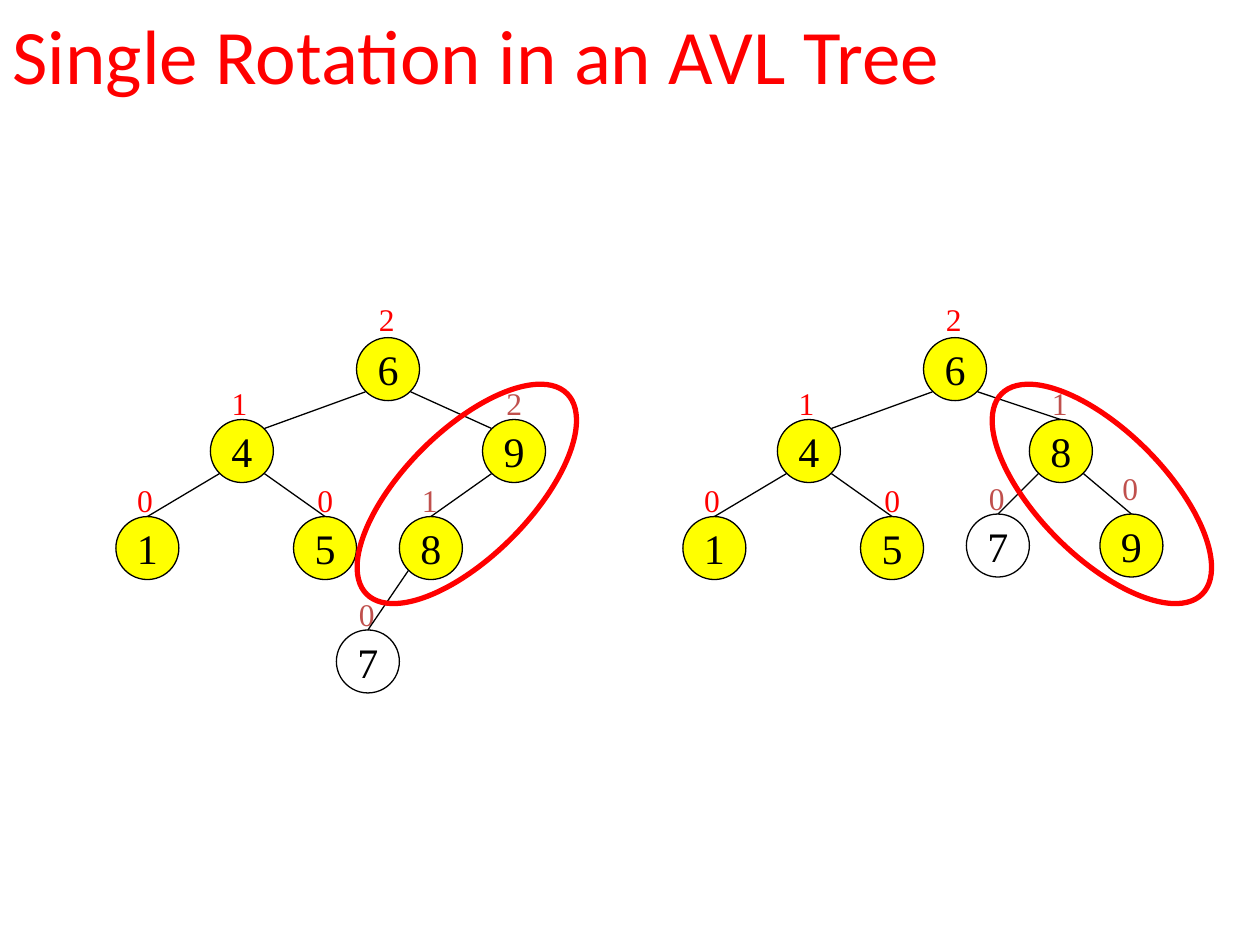
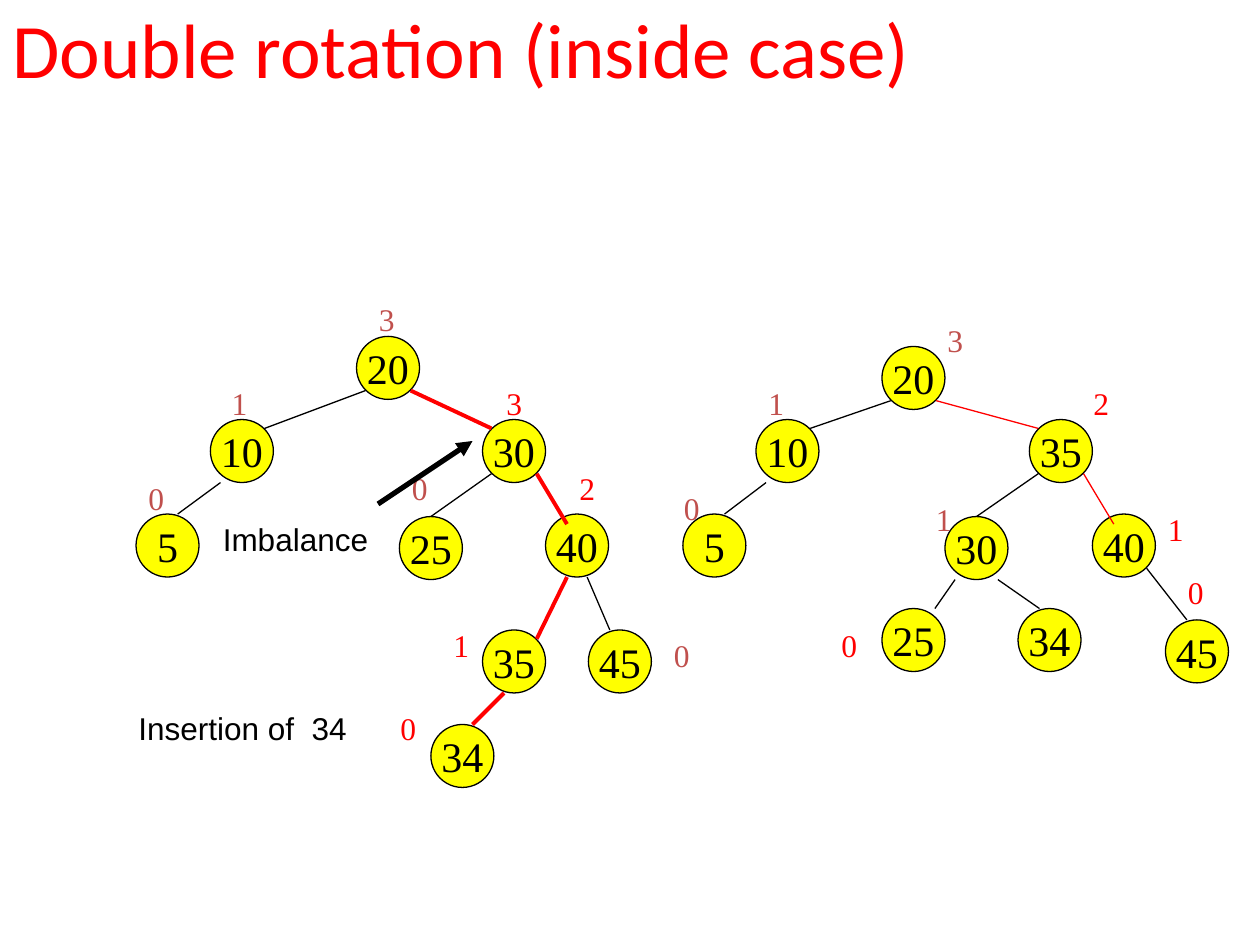
from collections import namedtuple

from lxml import etree
from pptx import Presentation
from pptx.dml.color import RGBColor
from pptx.enum.shapes import MSO_CONNECTOR, MSO_SHAPE
from pptx.enum.text import MSO_ANCHOR, MSO_AUTO_SIZE, PP_ALIGN
from pptx.oxml.ns import qn
from pptx.util import Inches, Pt

OVAL, LINE = MSO_SHAPE.OVAL, MSO_CONNECTOR.STRAIGHT
MID, LEFT, CENTER = MSO_ANCHOR.MIDDLE, PP_ALIGN.LEFT, PP_ALIGN.CENTER
GROW = MSO_AUTO_SIZE.SHAPE_TO_FIT_TEXT

Theme = namedtuple("Theme", "black red brick yellow head serif sans title key note thin bold thick")
T = Theme("000000", "FF0000", "C0504D", "FFFF00",
          "Calibri", "Times New Roman", "Arial", 44, 24, 18, 0.75, 2.25, 3)
TITLE_H = 1.25
NODE = 0.5
LABEL = (0.34, 0.43)

# Where an edge meets a node, measured from the node's top left corner.
PORTS = {
    "n": (0.25, 0), "nw": (0.07, 0.07), "ne": (0.43, 0.07),
    "sw": (0.07, 0.43), "se": (0.43, 0.43),
    "top left": (0.17, 0), "top right": (0.33, 0), "far right": (0.42, 0),
    "low left": (0.17, 0.5), "low right": (0.33, 0.5),
    "base left": (0.08, 0.5), "base right": (0.42, 0.5),
    "inner": (0.17, 0.08),
}
THIN, RED, PATH = (T.black, T.thin), (T.red, T.thin), (T.red, T.bold)

# Both trees of the single rotation share this part; x is from the tree's left.
BASE_NODES = [(6, 1.91, 2.68, T.yellow), (4, 0.75, 3.33, T.yellow),
              (1, 0, 4.1, T.yellow), (5, 1.41, 4.1, T.yellow)]
BASE_EDGES = [(6, "sw", 4, "ne", THIN), (4, "sw", 1, "n", THIN), (4, "se", 5, "n", THIN)]
BASE_MARKS = [(2, 1.99, 2.33, T.red), (1, 0.82, 3, T.red),
              (0, 0.07, 3.77, T.red), (0, 1.5, 3.77, T.red)]

# Nodes: key, x, y, fill.  Edges: parent, port, child, port, style.
# Marks (heights): value, x, y, colour.
SLIDES = [
    {
        "title": ("Single Rotation in an AVL Tree", -0.2, 9),
        "trees": [
            {
                "left": 0.92,
                "nodes": BASE_NODES + [(9, 2.91, 3.33, T.yellow), (8, 2.25, 4.1, T.yellow),
                                       (7, 1.75, 5, None)],
                "edges": BASE_EDGES + [(6, "se", 9, "nw", THIN), (9, "sw", 8, "n", THIN),
                                       (8, "sw", 7, "n", THIN)],
                "marks": BASE_MARKS + [(2, 3, 3, T.brick), (1, 2.33, 3.77, T.brick),
                                       (0, 1.83, 4.67, T.brick)],
            },
            {
                "left": 5.42,
                "nodes": BASE_NODES + [(8, 2.75, 3.33, T.yellow), (9, 3.31, 4.08, T.yellow),
                                       (7, 2.25, 4.08, None)],
                "edges": BASE_EDGES + [(6, "se", 8, "n", THIN), (8, "se", 9, "n", THIN),
                                       (8, "sw", 7, "n", THIN)],
                "marks": BASE_MARKS + [(1, 2.83, 3, T.brick), (0, 3.39, 3.67, T.brick),
                                       (0, 2.33, 3.75, T.brick)],
            },
        ],
        "rings": [(2.58, 3.42, 2.25, 1, 315), (7.62, 3.42, 2.25, 1, 45)],
    },
    {
        "title": ("Double rotation (inside case)", -0.25, 7.75),
        "trees": [
            {
                "left": 1.08,
                "nodes": [(20, 1.75, 2.67, T.yellow), (10, 0.59, 3.33, T.yellow),
                          (30, 2.75, 3.33, T.yellow), (5, 0, 4.08, T.yellow),
                          (25, 2.09, 4.1, T.yellow), (40, 3.25, 4.08, T.yellow),
                          (35, 2.75, 5, T.yellow), (45, 3.59, 5, T.yellow),
                          (34, 2.34, 5.75, T.yellow)],
                "edges": [(20, "sw", 10, "ne", THIN), (20, "se", 30, "nw", PATH),
                          (10, "base left", 5, "top right", THIN),
                          (30, "sw", 25, "n", THIN), (30, "se", 40, "inner", PATH),
                          (40, "low left", 35, "ne", PATH),
                          (40, "low right", 45, "top left", THIN),
                          (35, "low left", 34, "top right", PATH)],
                "marks": [(3, 1.83, 2.33, T.brick), (1, 0.66, 3, T.brick),
                          (3, 2.84, 3, T.red), (0, 0, 3.75, T.brick),
                          (0, 2.09, 3.67, T.brick), (2, 3.42, 3.67, T.red),
                          (1, 2.42, 4.92, T.red), (0, 4.17, 5, T.brick),
                          (0, 2, 5.58, T.red)],
            },
            {
                "left": 5.42,
                "nodes": [(20, 1.58, 2.75, T.yellow), (10, 0.58, 3.33, T.yellow),
                          (35, 2.75, 3.33, T.yellow), (5, 0, 4.08, T.yellow),
                          (30, 2.08, 4.1, T.yellow), (40, 3.25, 4.08, T.yellow),
                          (25, 1.58, 4.83, T.yellow), (34, 2.66, 4.83, T.yellow),
                          (45, 3.83, 4.92, T.yellow)],
                "edges": [(20, "sw", 10, "ne", THIN), (20, "se", 35, "nw", RED),
                          (10, "base left", 5, "top right", THIN),
                          (35, "sw", 30, "n", THIN), (35, "se", 40, "inner", RED),
                          (30, "base left", 25, "far right", THIN),
                          (30, "base right", 34, "top left", THIN),
                          (40, "se", 45, "top left", THIN)],
                "marks": [(3, 2, 2.5, T.brick), (1, 0.58, 3, T.brick),
                          (2, 3.16, 3, T.red), (0, -0.09, 3.83, T.brick),
                          (1, 1.91, 3.92, T.brick), (1, 3.75, 4, T.red),
                          (0, 1.16, 4.92, T.red), (0, 3.91, 4.5, T.red)],
            },
        ],
        "notes": [("Imbalance", 1.67, 4.08, 1.5), ("Insertion of  34", 1, 5.58, 2.08)],
        "arrow": ((3, 4), (3.75, 3.5)),
    },
]


def place(*sizes):
    """Turn numbers in inches into lengths."""
    return [Inches(s) for s in sizes]


def style(frame, text, font, size, color, align=LEFT):
    """Write one formatted paragraph into a text frame."""
    frame.text = text
    para = frame.paragraphs[0]
    para.alignment = align
    face = para.runs[0].font
    face.name, face.size = font, Pt(size)
    face.color.rgb = RGBColor.from_string(color)


def add_oval(slide, box, fill, line, width):
    """Draw an outlined ellipse, filled or open."""
    oval = slide.shapes.add_shape(OVAL, *place(*box))
    oval.shadow.inherit = False
    if fill:
        oval.fill.solid()
        oval.fill.fore_color.rgb = RGBColor.from_string(fill)
    else:
        oval.fill.background()
    oval.line.color.rgb = RGBColor.from_string(line)
    oval.line.width = Pt(width)
    return oval


def add_node(slide, key, x, y, fill):
    """Draw a tree node with its key."""
    frame = add_oval(slide, (x, y, NODE, NODE), fill, T.black, T.thin).text_frame
    frame.word_wrap, frame.vertical_anchor = False, MID
    style(frame, str(key), T.serif, T.key, T.black, CENTER)


def add_line(slide, start, end, color, width):
    """Draw a straight line without a shadow."""
    line = slide.shapes.add_connector(LINE, *place(*start, *end))
    line.line.color.rgb = RGBColor.from_string(color)
    line.line.width = Pt(width)
    etree.SubElement(line._element.spPr, qn("a:effectLst"))
    return line


def add_label(slide, text, box, font, color, wrap):
    """Put a line of small text on the slide."""
    frame = slide.shapes.add_textbox(*place(*box)).text_frame
    frame.word_wrap, frame.auto_size = wrap, GROW
    style(frame, text, font, T.note, color)


def add_tree(slide, tree):
    """Draw the heights, nodes and edges of one tree."""
    left = tree["left"]
    spots = {key: (left + x, y) for key, x, y, _ in tree["nodes"]}

    def port(key, name):
        """Find the point where an edge meets a node."""
        return [a + b for a, b in zip(spots[key], PORTS[name])]

    for value, x, y, color in tree["marks"]:
        add_label(slide, str(value), (left + x, y, *LABEL), T.serif, color, False)
    for key, _, _, fill in tree["nodes"]:
        add_node(slide, key, *spots[key], fill)
    for top, out, child, into, look in tree["edges"]:
        add_line(slide, port(top, out), port(child, into), *look)


def add_slide(deck, data):
    """Build one slide from its data."""
    slide = deck.slides.add_slide(deck.slide_layouts[5])
    text, top, width = data["title"]
    title = slide.shapes.title
    title.left, title.top, title.width, title.height = place(0, top, width, TITLE_H)
    title.text_frame.vertical_anchor = MID
    style(title.text_frame, text, T.head, T.title, T.red)
    for tree in data["trees"]:
        add_tree(slide, tree)
    for *box, turn in data.get("rings", []):
        add_oval(slide, box, None, T.red, T.thick).rotation = turn
    for note, x, y, wide in data.get("notes", []):
        add_label(slide, note, (x, y, wide, LABEL[1]), T.sans, T.black, True)
    if "arrow" in data:
        arrow = add_line(slide, *data["arrow"], T.black, T.thick)
        etree.SubElement(arrow.line._get_or_add_ln(), qn("a:tailEnd"), type="triangle")


deck = Presentation()
deck.slide_width, deck.slide_height = place(10, 7.5)
for data in SLIDES:
    add_slide(deck, data)
deck.save("out.pptx")
